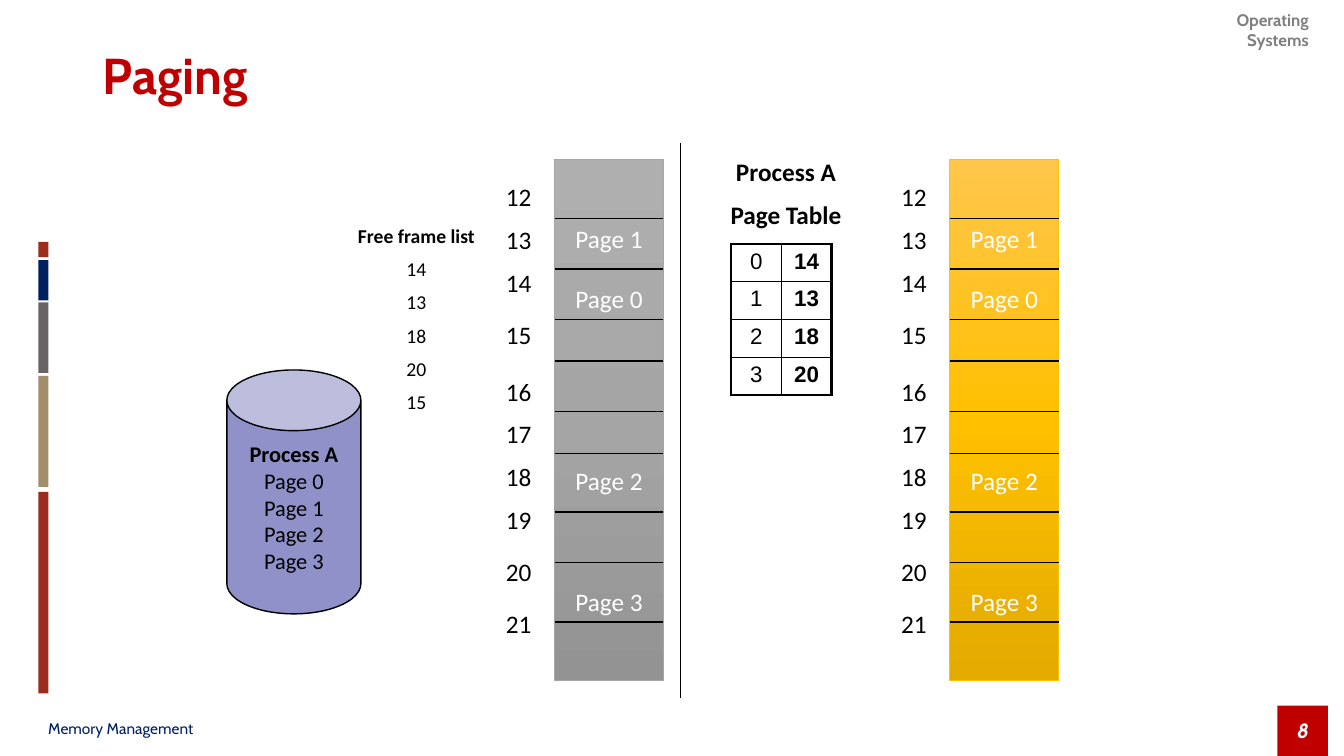
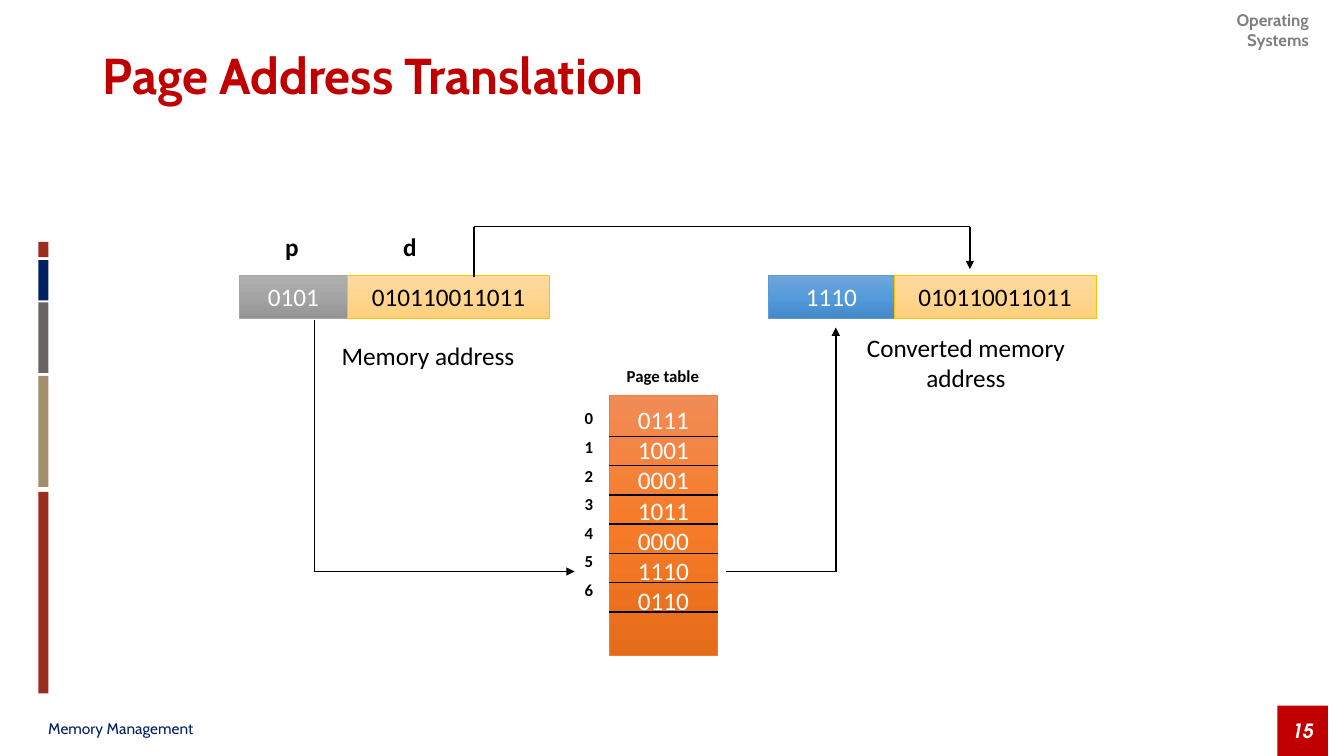
"""Build two slides on memory paging and page address translation."""
from copy import deepcopy
from dataclasses import dataclass
from itertools import pairwise

from lxml.etree import SubElement
from pptx import Presentation
from pptx.dml.color import RGBColor
from pptx.enum.shapes import MSO_CONNECTOR as Connector, MSO_SHAPE as Preset
from pptx.enum.text import MSO_ANCHOR as Anchor, MSO_AUTO_SIZE as AutoSize, PP_ALIGN as Align
from pptx.oxml.ns import qn
from pptx.util import Inches, Pt


@dataclass(frozen=True)
class Theme:
    black: str = "000000"
    white: str = "FFFFFF"
    red: str = "C00000"
    navy: str = "002060"
    header_gray: str = "808080"
    rust: str = "9B2D1F"
    tan: str = "A28E6A"
    slate: str = "696464"
    lilac: str = "9191C9"
    gray: tuple = ("AFAFAF", "A5A5A5", "939393")
    gold: tuple = ("FFC64B", "FFC000", "E3AB00")
    cream: tuple = ("FFDB9E", "FFD590", "FFD07C")
    orange: tuple = ("F18C57", "F67B28", "E56C19")
    blue: tuple = ("71A6DB", "559BDB", "448ACA")
    gray_line: str = "A5A5A5"
    gold_line: str = "FFC000"
    orange_line: str = "ED7D31"
    blue_line: str = "5B9BD5"
    body_font: str = "Calibri"
    brand_font: str = "Cabin"
    number_font: str = "TeX Gyre Adventor"
    table_font: str = "Arial"
    title: int = 36
    body: int = 18
    medium: int = 16
    list: int = 14
    small: int = 12
    footer: int = 11
    row: float = 21.6


THEME = Theme()


def rgb(color):
    return RGBColor.from_string(color)


def write(frame, *lines, size=THEME.body, color=THEME.black, font=THEME.body_font,
          bold=False, italic=False, align=Align.LEFT, gap=0, spacing=None):
    for index, line in enumerate(lines):
        text, changes = line if isinstance(line, tuple) else (line, {})
        paragraph = frame.paragraphs[0] if index == 0 else frame.add_paragraph()
        paragraph.text = text
        paragraph.alignment = align
        paragraph.line_spacing = spacing
        paragraph.space_before = Pt(changes.get("gap", gap) if index else 0)
        paragraph.font.name = font
        paragraph.font.size = Pt(size)
        paragraph.font.bold = changes.get("bold", bold)
        paragraph.font.italic = italic
        paragraph.font.color.rgb = rgb(color)


class Deck:
    def __init__(self):
        self.presentation = Presentation()
        self.presentation.slide_width = Inches(13.33)
        self.presentation.slide_height = Inches(7.5)
        self.slide = None

    def add_slide(self, title, number):
        self.slide = self.presentation.slides.add_slide(self.presentation.slide_layouts[5])
        self.text(11.55, 0.05, 1.53, 0.5, "Operating Systems", size=THEME.small,
                  font=THEME.brand_font, color=THEME.header_gray, bold=True, align=Align.RIGHT)
        self.shape(12.67, 7, 0.5, 0.5, str(number), fill=THEME.red, size=THEME.list,
                   font=THEME.number_font, color=THEME.white, bold=True, italic=True)
        self.text(0.38, 7.06, 4.4, 0.33, "Memory Management", anchor=Anchor.MIDDLE,
                  size=THEME.footer, font=THEME.brand_font, color=THEME.navy)
        for top, height, color in ((2.4, 0.15, THEME.rust), (2.58, 0.4, THEME.navy),
                                   (3, 0.7, THEME.slate), (3.73, 1.1, THEME.tan),
                                   (4.88, 2, THEME.rust)):
            self.shape(0.38, top, 0.1, height, fill=color)
        heading = self.slide.shapes.title
        heading.left, heading.top = Inches(0.92), Inches(0.05)
        heading.width, heading.height = Inches(11.5), Inches(1.45)
        heading.text_frame.vertical_anchor = Anchor.MIDDLE
        heading.text_frame.auto_size = AutoSize.NONE
        write(heading.text_frame, title, size=THEME.title, font=THEME.brand_font,
              color=THEME.red, bold=True, spacing=0.9)

    def text(self, left, top, width, height, *lines, anchor=Anchor.TOP, **style):
        box = self.slide.shapes.add_textbox(*map(Inches, (left, top, width, height)))
        box.text_frame.word_wrap = True
        box.text_frame.vertical_anchor = anchor
        write(box.text_frame, *lines, **style)

    def shape(self, left, top, width, height, *lines, fill, preset=Preset.RECTANGLE,
              line=None, line_width=0.5, **style):
        shape = self.slide.shapes.add_shape(preset, *map(Inches, (left, top, width, height)))
        shape.shadow.inherit = False
        if isinstance(fill, tuple):
            self.gradient(shape, fill)
        else:
            shape.fill.solid()
            shape.fill.fore_color.rgb = rgb(fill)
        if line:
            shape.line.color.rgb = rgb(line)
            shape.line.width = Pt(line_width)
        else:
            shape.line.fill.background()
        shape.text_frame.word_wrap = False
        shape.text_frame.vertical_anchor = Anchor.MIDDLE
        write(shape.text_frame, *lines, align=Align.CENTER, **style)
        return shape

    def gradient(self, shape, colors):
        shape.fill.gradient()
        shape.fill.gradient_angle = 270
        stops = next(shape._element.iter(qn("a:gsLst")))
        stops.append(deepcopy(stops[0]))
        for index, (stop, color) in enumerate(zip(shape.fill.gradient_stops, colors)):
            stop.position = index / 2
            stop.color.rgb = rgb(color)

    def route(self, *points, arrow=False):
        for start, end in pairwise(points):
            connector = self.slide.shapes.add_connector(
                Connector.STRAIGHT, *map(Inches, (*start, *end)))
            connector.line.color.rgb = rgb(THEME.black)
            connector.line.width = Pt(1)
            properties = connector._element.spPr
            SubElement(properties, qn("a:effectLst"))
            if arrow and end == points[-1]:
                SubElement(properties.find(qn("a:ln")), qn("a:tailEnd"), type="triangle")

    def stack(self, left, top, height, dividers, *lines, **style):
        width = 1.08
        shape = self.shape(left, top, width, height, *lines, color=THEME.white, **style)
        for y in dividers:
            self.route((left, y), (left + width, y))
        return shape

    def memory(self, left, fill, line):
        wide, wider = {"gap": 15.5}, {"gap": 19}
        self.text(left - 0.58, 1.75, 0.5, 4.91, "12", "13", "14", ("15", wide), ("16", wider),
                  "17", "18", "19", ("20", wide), ("21", wide), gap=THEME.body / 2)
        self.stack(left, 1.58, 5.17, (2.17, 2.67, 3.17, 3.58, 4.08, 4.5, 5.08, 5.58, 6.17),
                   "Page 1", ("Page 0", {"gap": THEME.row}), ("Page 2", {"gap": 5 * THEME.row}),
                   ("Page 3", {"gap": 3 * THEME.row}), fill=fill, line=line)

    def address(self, left, width, page, fill, line):
        self.shape(left, 2.73, width, 0.43, page, fill=fill, line=line, color=THEME.white)
        self.shape(left + width, 2.73, 2, 0.43, "010110011011",
                   fill=THEME.cream, line=THEME.gold_line)

    def table(self, left, top, width, height, rows):
        last_row, last_column = len(rows) - 1, len(rows[0]) - 1
        table = self.slide.shapes.add_table(
            len(rows), len(rows[0]), *map(Inches, (left, top, width, height))).table
        for r, values in enumerate(rows):
            for c, value in enumerate(values):
                cell = table.cell(r, c)
                outer = {"L": c == 0, "R": c == last_column, "T": r == 0, "B": r == last_row}
                for side, thick in outer.items():
                    border = SubElement(cell._tc.get_or_add_tcPr(), qn(f"a:ln{side}"),
                                        w=str(Pt(2.25 if thick else 1)))
                    SubElement(SubElement(border, qn("a:solidFill")), qn("a:srgbClr"),
                               val=THEME.black)
                cell.fill.background()
                write(cell.text_frame, value, size=THEME.medium, font=THEME.table_font,
                      bold=c == last_column, align=Align.CENTER)


def paging(deck):
    deck.add_slide("Paging", 8)
    disk = deck.shape(2.25, 3.67, 1.33, 2.42, ("Process A", {"bold": True}),
                      *(f"Page {page}" for page in range(4)), preset=Preset.CAN,
                      fill=THEME.lilac, line=THEME.black, line_width=1, size=THEME.medium)
    disk.adjustments[0] = 0.453
    deck.route((6.75, 1.42), (6.75, 6.92))
    deck.text(3.17, 2.17, 1.92, 2.1, ("Free frame list", {"bold": True}),
              "14", "13", "18", "20", "15", size=THEME.list, align=Align.CENTER,
              gap=THEME.list / 2)
    deck.memory(5.5, THEME.gray, THEME.gray_line)
    deck.memory(9.42, THEME.gold, THEME.gold_line)
    deck.text(6.92, 1.5, 1.75, 0.9, "Process A", "Page Table", bold=True,
              align=Align.CENTER, gap=THEME.body / 2)
    deck.table(7.25, 2.42, 1, 1.5, [("0", "14"), ("1", "13"), ("2", "18"), ("3", "20")])


def translation(deck):
    deck.add_slide("Page Address Translation", 15)
    deck.address(2.37, 1.08, "0101", THEME.gray, THEME.gray_line)
    deck.address(7.62, 1.25, "1110", THEME.blue, THEME.blue_line)
    deck.text(2.73, 2.25, 0.5, 0.4, "p", bold=True)
    deck.text(3.9, 2.25, 0.5, 0.4, "d", bold=True)
    deck.text(3.29, 3.33, 2.33, 0.4, "Memory address")
    deck.text(8.37, 3.25, 2.42, 0.7, "Converted memory address", align=Align.CENTER)
    deck.text(5.7, 3.58, 1.75, 0.3, "Page table", size=THEME.small, bold=True,
              align=Align.CENTER)
    deck.text(5.7, 4, 0.33, 2.1, *map(str, range(7)), size=THEME.small, bold=True,
              gap=THEME.small / 2)
    entries = deck.stack(6.04, 3.92, 2.58, [4.33 + 0.29 * row for row in range(7)],
                         "0111", "1001", "0001", "1011", "0000", "1110", "0110",
                         fill=THEME.orange, line=THEME.orange_line)
    entries.text_frame.margin_bottom = Inches(0.35)
    deck.route((3.12, 3.17), (3.12, 5.67), (5.7, 5.67), arrow=True)
    deck.route((7.2, 5.67), (8.29, 5.67), (8.29, 3.25), arrow=True)
    deck.route((4.7, 2.75), (4.7, 2.25), (9.62, 2.25), (9.62, 2.67), arrow=True)


def main():
    deck = Deck()
    paging(deck)
    translation(deck)
    deck.presentation.save("out.pptx")


if __name__ == "__main__":
    main()
